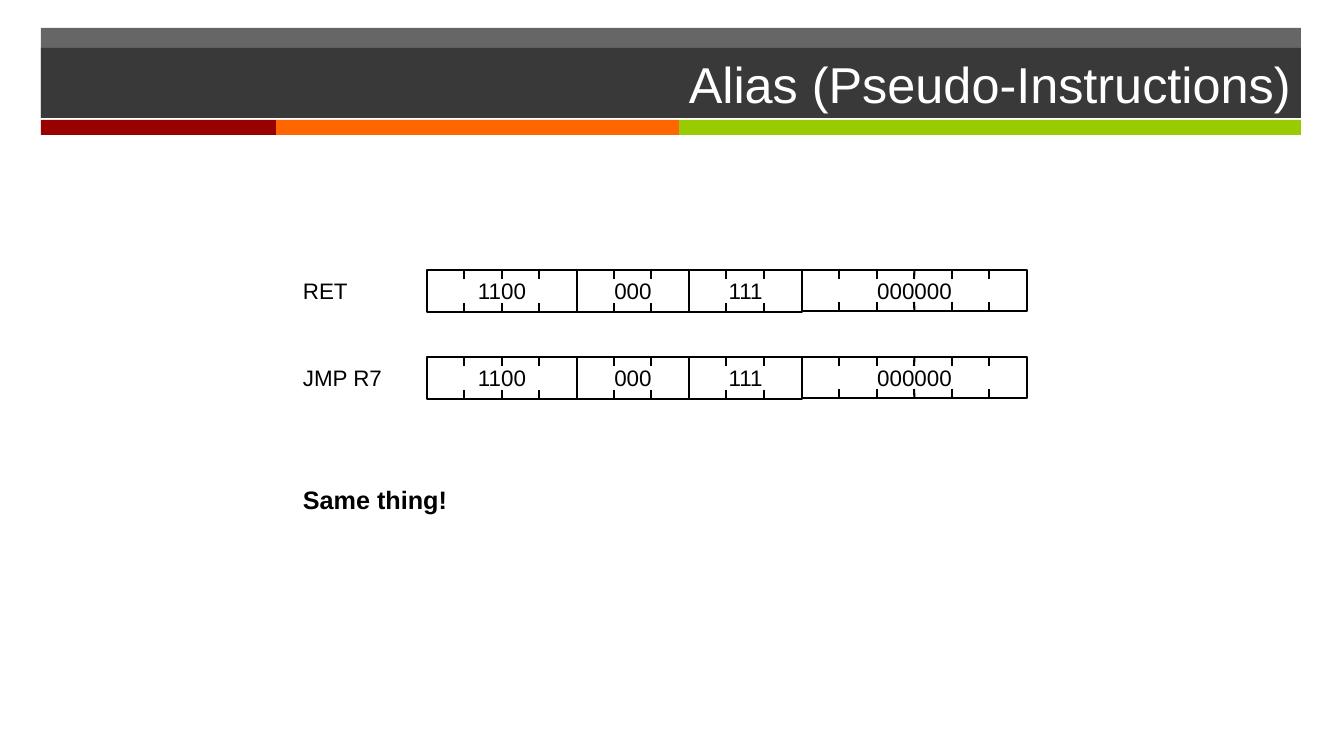
from lxml import etree
from pptx import Presentation
from pptx.dml.color import RGBColor
from pptx.enum.shapes import MSO_CONNECTOR, MSO_SHAPE
from pptx.enum.text import MSO_ANCHOR, PP_ALIGN
from pptx.oxml.ns import qn
from pptx.util import Pt

RECT = MSO_SHAPE.RECTANGLE
STRAIGHT = MSO_CONNECTOR.STRAIGHT
MIDDLE = MSO_ANCHOR.MIDDLE
LEFT, CENTER, RIGHT = PP_ALIGN.LEFT, PP_ALIGN.CENTER, PP_ALIGN.RIGHT
TOP_SIDE, BOTTOM_SIDE = 0, 2
FONT = "Arial"
BLACK, WHITE, CHARCOAL = "000000", "FFFFFF", "262626"
STRIPES = [(235, "990000"), (403, "FF6600"), (622, "99CC00")]
WORD_BITS = 16
TICK = 9
FIELDS = [("1100", 42), ("000", 42), ("111", 42), ("000000", 41)]
INSTRUCTIONS = [("RET", 66), ("JMP R7", 100)]


def px(n):
    """Turn slide pixels into EMU."""
    return round(n * 914400 / 100.8)


def rgb(color):
    """Turn a hex string into a colour."""
    return RGBColor.from_string(color)


def write(sp, text, size, color=BLACK, align=LEFT, bold=False, wrap=True):
    """Set and format the text of a shape."""
    tf = sp.text_frame
    tf.text = text
    tf.word_wrap = wrap
    tf.vertical_anchor = MIDDLE
    p = tf.paragraphs[0]
    p.alignment = align
    font = p.runs[0].font
    font.name, font.size, font.bold = FONT, Pt(size), bold
    font.color.rgb = rgb(color)


def add_rect(s, x, y, w, h, fill=None, line=None, alpha=None):
    """Add a rectangle with an optional fill, outline and opacity in percent."""
    sp = s.shapes.add_shape(RECT, px(x), px(y), px(w), px(h))
    sp.shadow.inherit = False
    if fill:
        sp.fill.solid()
        sp.fill.fore_color.rgb = rgb(fill)
    else:
        sp.fill.background()
    if alpha:
        clr = sp.fill._xPr.find(".//" + qn("a:srgbClr"))
        etree.SubElement(clr, qn("a:alpha"), val=str(alpha * 1000))
    if line:
        sp.line.color.rgb = rgb(line)
        sp.line.width = Pt(1.5)
    else:
        sp.line.fill.background()
    return sp


def add_label(s, x, y, w, h, text, size, bold=False, wrap=True):
    """Add a left-aligned text box."""
    sp = s.shapes.add_textbox(px(x), px(y), px(w), px(h))
    write(sp, text, size, bold=bold, wrap=wrap)


def add_tick(s, x, y):
    """Add a short vertical bit mark."""
    tick = s.shapes.add_connector(STRAIGHT, px(x), px(y), px(x), px(y + TICK))
    tick.line.color.rgb = rgb(BLACK)
    tick.line.width = Pt(1.5)
    etree.SubElement(tick._element.spPr, qn("a:effectLst"))
    return tick


def add_header(s, x, y, w, title):
    """Draw the title band and the coloured stripes below it."""
    add_rect(s, x, y, w, 90, CHARCOAL, alpha=70)
    left = x
    for width, color in STRIPES:
        add_rect(s, left, y + 92, width, 15, color)
        left += width
    sp = add_rect(s, x, y + 20, w, 70, CHARCOAL, alpha=70)
    write(sp, title, 36, WHITE, RIGHT)


def add_field(s, x, y, w, h, bits):
    """Draw one instruction field with marks between its bits."""
    sp = add_rect(s, x, y, w, h, line=BLACK)
    write(sp, bits, 16, align=CENTER, wrap=False)
    count = len(bits)
    for i in range(1, count):
        mark = x + w * i // count
        upper = add_tick(s, mark, y)
        lower = add_tick(s, mark, y + h - TICK)
        if 2 * i == count:
            upper.begin_connect(sp, TOP_SIDE)
            lower.end_connect(sp, BOTTOM_SIDE)


def add_instruction(s, x, y, w, name, name_w):
    """Draw an instruction name and its encoded word."""
    add_label(s, x, y + 2, name_w, 37, name, 16, wrap=False)
    word_x, word_w = x + 134, w - 134
    start = 0
    for bits, h in FIELDS:
        end = start + len(bits)
        left = word_x + word_w * start // WORD_BITS
        right = word_x + word_w * end // WORD_BITS
        add_field(s, left, y, right - left, h, bits)
        start = end


def main():
    """Build the slide and save it."""
    prs = Presentation()
    prs.slide_width, prs.slide_height = px(1344), px(756)
    s = prs.slides.add_slide(prs.slide_layouts[6])
    add_header(s, 41, 28, 1260, "Alias (Pseudo-Instructions)")
    for i, (name, name_w) in enumerate(INSTRUCTIONS):
        add_instruction(s, 293, 270 + 87 * i, 734, name, name_w)
    add_label(s, 293, 479, 639, 40, "Same thing!", 18, bold=True)
    prs.save("out.pptx")


if __name__ == "__main__":
    main()
